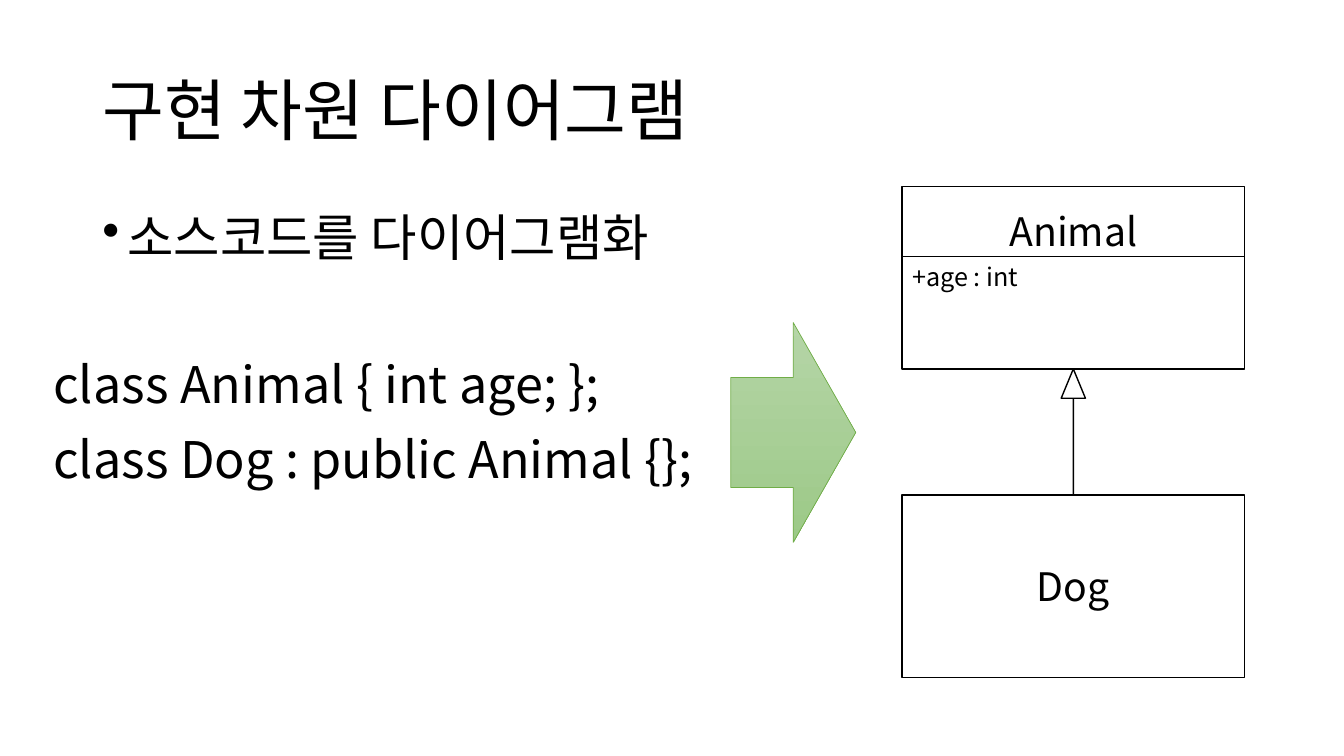
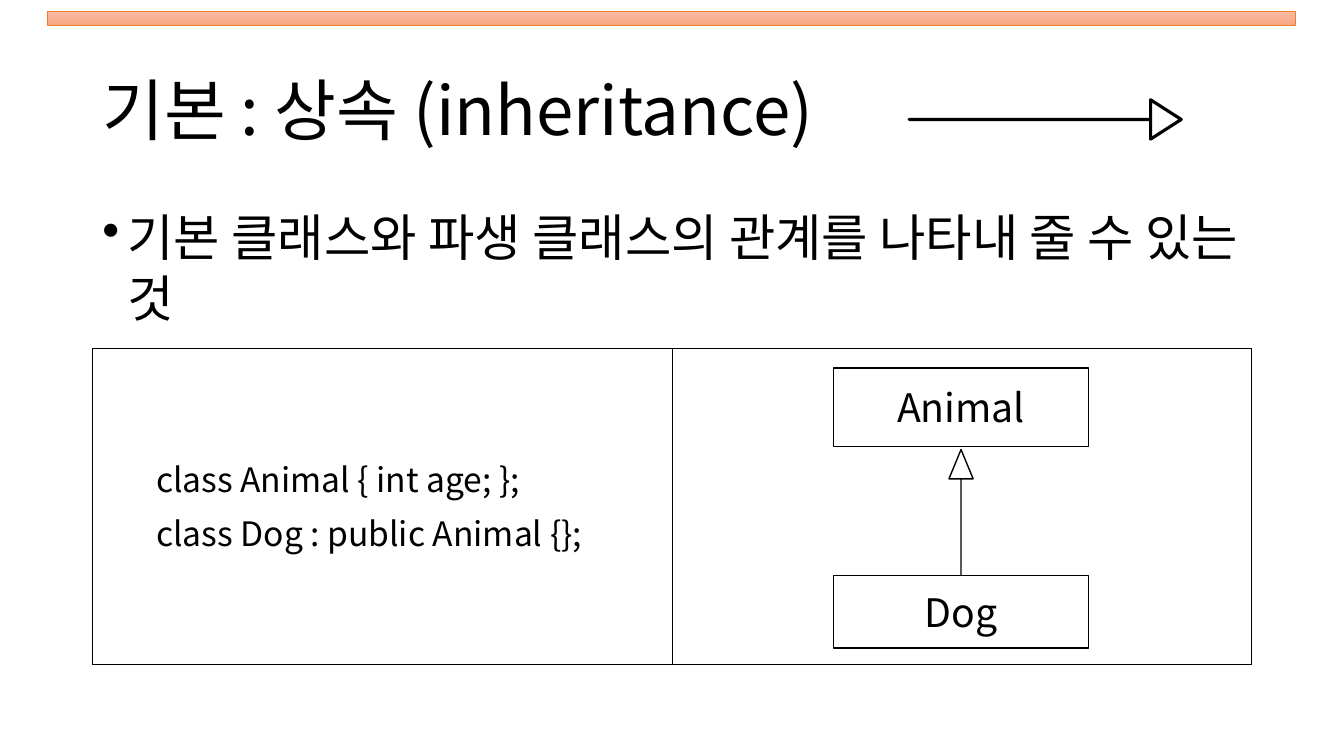
from lxml import etree
from pptx import Presentation
from pptx.dml.color import RGBColor
from pptx.enum.shapes import MSO_CONNECTOR, MSO_SHAPE
from pptx.enum.text import MSO_ANCHOR, PP_ALIGN
from pptx.oxml.ns import qn
from pptx.util import Pt

RECT, UP, RIGHT = MSO_SHAPE.RECTANGLE, MSO_SHAPE.UP_ARROW, MSO_SHAPE.RIGHT_ARROW
LINE = MSO_CONNECTOR.STRAIGHT
TOP, MID = MSO_ANCHOR.TOP, MSO_ANCHOR.MIDDLE
LEFT, CENTER = PP_ALIGN.LEFT, PP_ALIGN.CENTER

FONT = "Noto Sans CJK KR"
COLORS = {
    "ink": "000000", "paper": "FFFFFF",
    "green": "70AD47", "green top": "B5D5A7", "green base": "9CC987",
    "orange": "ED7D31", "orange top": "F7BDA5", "orange base": "F8A582",
}
TITLE = {"line_spacing": 0.9}
BODY = {"space_before": Pt(10)}
NAME = {"alignment": CENTER}
PLAIN = {"alignment": LEFT}
CODE = ["class Animal { int age; };", "class Dog : public Animal {};"]
HEAD_W, HEAD_H = 17.3, 90


def color(name):
    return RGBColor.from_string(COLORS[name])


def place(*box):
    return [Pt(n) for n in box]


def write(shape, lines, size, form, anchor=TOP, inset=3.6, bullet=False):
    frame = shape.text_frame
    frame.word_wrap = True
    frame.vertical_anchor = anchor
    frame.margin_top = Pt(inset)
    for i, line in enumerate(lines):
        para = frame.paragraphs[0] if i == 0 else frame.add_paragraph()
        for key, value in form.items():
            setattr(para, key, value)
        run = para.add_run()
        run.text = line
        for key, value in {"size": Pt(size), "name": FONT}.items():
            setattr(run.font, key, value)
        run.font.color.rgb = color("ink")
        etree.SubElement(run._r.get_or_add_rPr(), qn("a:ea"), typeface=FONT)
        if bullet:
            props = para._p.get_or_add_pPr()
            props.set("marL", str(Pt(18)))
            props.set("indent", str(Pt(-18)))
            etree.SubElement(props, qn("a:buChar"), char="•")


def label(slide, box, lines, size, form, **more):
    write(slide.shapes.add_textbox(*place(*box)), lines, size, form, **more)


def outline(slide, kind, box, ink="ink", width=1):
    shape = slide.shapes.add_shape(kind, *place(*box))
    shape.shadow.inherit = False
    shape.line.color.rgb = color(ink)
    shape.line.width = Pt(width)
    shape.fill.background()
    return shape


def panel(slide, box):
    shape = outline(slide, RECT, box)
    shape.fill.solid()
    shape.fill.fore_color.rgb = color("paper")
    return shape


def node(slide, box, name, anchor=MID, inset=3.6):
    write(panel(slide, box), [name], 28, NAME, anchor, inset)


def blend(slide, kind, box, hue):
    fill = outline(slide, kind, box, hue, 0.5).fill
    fill.gradient()
    fill.gradient_angle = 270
    for stop, end in zip(fill.gradient_stops, ("top", "base")):
        stop.color.rgb = color(f"{hue} {end}")


def arrow(slide, kind, box, head, width=1):
    shape = outline(slide, kind, box, width=width)
    shape.adjustments[0] = 0
    shape.adjustments[1] = head


def parent(slide, mid, top):
    arrow(slide, UP, (mid - HEAD_W / 2, top, HEAD_W, HEAD_H), 1.21)


def rule(slide, *ends):
    line = slide.shapes.add_connector(LINE, *place(*ends))
    line.line.color.rgb = color("ink")
    line.line.width = Pt(0.5)
    etree.SubElement(line._element.spPr, qn("a:effectLst"))
    return line


def heading(slide, title, point, width, height):
    label(slide, (66, 29, 828, 104), [title], 48, TITLE, anchor=MID)
    label(slide, (66, 144, width, height), [point], 36, BODY, bullet=True)


def diagram(slide):
    heading(slide, "구현 차원 다이어그램", "소스코드를 다이어그램화", 567, 78)
    label(slide, (31, 249, 500, 170), CODE, 36, BODY)
    left, top, wide, high, split = 644.4, 133.2, 244.6, 130.3, 182.9
    base = top + high
    node(slide, (left, top, wide, high), "Animal", TOP, 15)
    node(slide, (left, base + HEAD_H, wide, high), "Dog")
    parent(slide, left + wide / 2, base)
    rule(slide, left, split, left + wide, split)
    label(slide, (left, split, wide, 29), ["+age : int"], 18, PLAIN)
    blend(slide, RIGHT, (522, 230.4, 89.3, 157), "green")


def basics(slide):
    left, top, wide, high = 66, 249.1, 828, 225.6
    mid = left + wide / 2
    frame = panel(slide, (left, top, wide, high))
    split = rule(slide, mid, top, mid, top + high)
    split.begin_connect(frame, 0)
    split.end_connect(frame, 2)
    heading(slide, "기본 : 상속 (inheritance)",
            "기본 클래스와 파생 클래스의 관계를 나타내 줄 수 있는 것", 828, 343)
    label(slide, (104.4, 324, 319, 77), CODE, 24, BODY)
    arrow(slide, RIGHT, (649.4, 71.3, 194.4, 28.1), 0.78, 2.25)
    left, wide, low = 595.4, 182.2, 411.1
    node(slide, (left, 262.8, wide, 56.2), "Animal")
    node(slide, (left, low, wide, 51.8), "Dog")
    parent(slide, left + wide / 2, low - HEAD_H)
    blend(slide, RECT, (33.8, 7.9, 891.4, 10.1), "orange")


def main():
    deck = Presentation()
    deck.slide_width, deck.slide_height = Pt(960), Pt(540)
    for build in (diagram, basics):
        build(deck.slides.add_slide(deck.slide_layouts[6]))
    deck.save("out.pptx")


if __name__ == "__main__":
    main()
